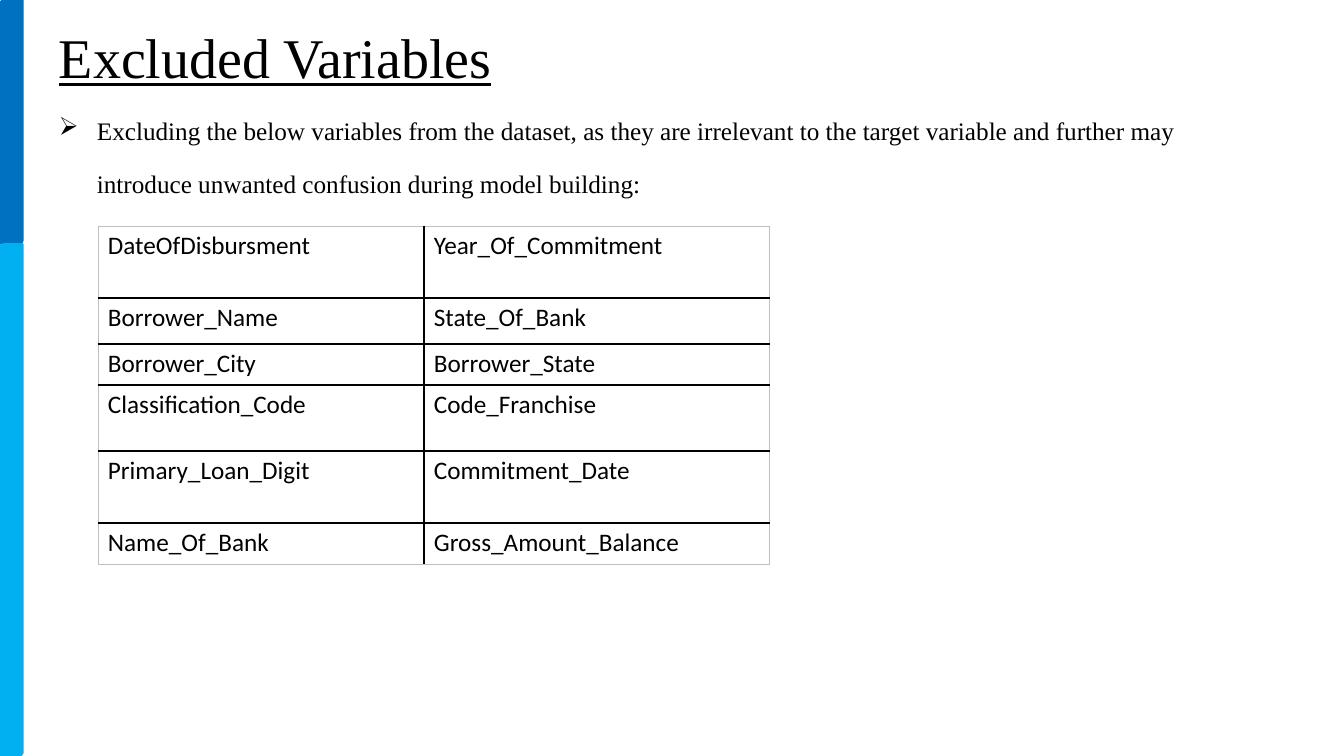
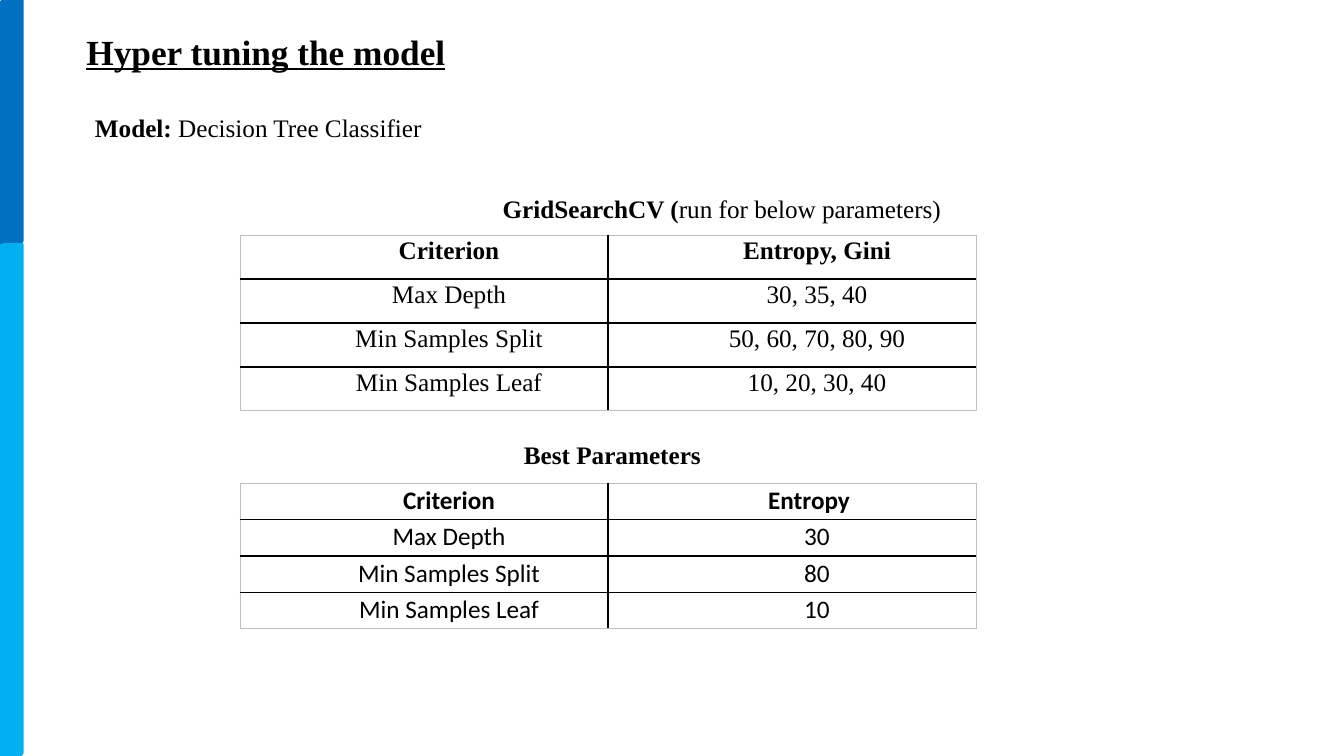
from dataclasses import dataclass

from lxml import etree
from pptx import Presentation
from pptx import util as u
from pptx.dml.color import RGBColor
from pptx.enum import shapes, text
from pptx.oxml import ns

EMU_PER_PX = 12192000 / 1344
LEFT, CENTER = text.PP_ALIGN.LEFT, text.PP_ALIGN.CENTER


@dataclass(frozen=True)
class Theme:
    band_dark: str = "0070C0"
    band_light: str = "00B0F0"
    ink: str = "000000"
    frame: str = "BFBFBF"
    serif: str = "Times New Roman"
    sans: str = "Calibri"
    title_size: float = 40
    subtitle_size: float = 25.2
    body_size: float = 18
    rule_width: float = 1
    frame_width: float = 0.75


@dataclass(frozen=True)
class Box:
    left: int
    top: int
    width: int
    height: int

    def emu(self):
        return px(self.left), px(self.top), px(self.width), px(self.height)


THEME = Theme()


def px(length):
    return u.Emu(round(length * EMU_PER_PX))


def color(value):
    return RGBColor.from_string(value)


def write(paragraph, runs, size=THEME.body_size, font=THEME.serif,
          align=LEFT, spacing=1.0, underline=False):
    """Fill a paragraph with (words, bold) runs."""
    paragraph.alignment = align
    paragraph.line_spacing = spacing
    paragraph.font.size = u.Pt(size)
    paragraph.font.name = font
    paragraph.font.underline = underline
    paragraph.font.color.rgb = color(THEME.ink)
    for words, bold in runs:
        run = paragraph.add_run()
        run.text = words
        run.font.bold = bold


def indent(paragraph, margin, first_line=0, bullet=None):
    properties = paragraph._p.get_or_add_pPr()
    properties.set("marL", str(px(margin)))
    properties.set("indent", str(px(first_line)))
    if bullet:
        mark = etree.Element(ns.qn("a:buChar"), char=bullet)
        properties.insert_element_before(mark, "a:tabLst", "a:defRPr", "a:extLst")


def add_text(slide, box, runs, anchor=text.MSO_ANCHOR.TOP, **style):
    frame = slide.shapes.add_textbox(*box.emu()).text_frame
    frame.word_wrap = True
    frame.vertical_anchor = anchor
    paragraph = frame.paragraphs[0]
    write(paragraph, runs, **style)
    return paragraph


def add_title(slide, box, words, bold=False, **style):
    add_text(slide, box, [(words, bold)], anchor=text.MSO_ANCHOR.MIDDLE,
             underline=True, **style)


def add_side_bands(slide, box, split):
    """Stack a dark and a light band that meet at the height split."""
    bands = ((box.top, split, THEME.band_dark),
             (box.top + split, box.height - split, THEME.band_light))
    for top, height, fill in bands:
        band = slide.shapes.add_shape(
            shapes.MSO_SHAPE.ROUND_2_DIAG_RECTANGLE,
            *Box(box.left, top, box.width, height).emu())
        band.shadow.inherit = False
        band.fill.solid()
        band.fill.fore_color.rgb = color(fill)
        band.line.color.rgb = color(fill)
        band.line.width = u.Pt(THEME.rule_width)


def set_borders(cell, outer_sides):
    """Rule the cell in ink, and in the frame colour on its outer sides."""
    properties = cell._tc.get_or_add_tcPr()
    for position, side in enumerate("LRTB"):
        outer = side in outer_sides
        width = THEME.frame_width if outer else THEME.rule_width
        line = etree.Element(ns.qn(f"a:ln{side}"), w=str(u.Pt(width)))
        fill = etree.SubElement(line, ns.qn("a:solidFill"))
        etree.SubElement(fill, ns.qn("a:srgbClr"),
                         val=THEME.frame if outer else THEME.ink)
        properties.insert(position, line)


def add_table(slide, box, rows, widths, heights, header=False, margin=0,
              insets=(10, 5), **style):
    """Place a table whose widths and heights are shares of the box."""
    table = slide.shapes.add_table(len(rows), len(widths), *box.emu()).table
    table.first_row = table.horz_banding = False
    for column, share in zip(table.columns, widths):
        column.width = px(box.width * share / sum(widths))
    for row, share in zip(table.rows, heights):
        row.height = px(box.height * share / sum(heights))
    last_row, last_column = len(rows) - 1, len(widths) - 1
    for row_index, row in enumerate(rows):
        for column_index, words in enumerate(row):
            cell = table.cell(row_index, column_index)
            cell.fill.background()
            cell.margin_left = cell.margin_right = px(insets[0])
            cell.margin_top = cell.margin_bottom = px(insets[1])
            edges = {"L": column_index == 0, "R": column_index == last_column,
                     "T": row_index == 0, "B": row_index == last_row}
            set_borders(cell, [side for side, outer in edges.items() if outer])
            paragraph = cell.text_frame.paragraphs[0]
            write(paragraph, [(words, header and row_index == 0)], **style)
            indent(paragraph, margin)
    return table


def add_parameter_table(slide, box, rows, font):
    return add_table(slide, box, rows, widths=(1, 1), heights=[1] * len(rows),
                     header=True, margin=50, insets=(7, 0), font=font,
                     align=CENTER, spacing=1.07)


def build_excluded_variables(slide):
    add_title(slide, Box(49, 0, 907, 112), "Excluded Variables",
              size=THEME.title_size)
    reason = add_text(
        slide, Box(49, 87, 1165, 125),
        [("Excluding the below variables from the dataset, as they are "
          "irrelevant to the target variable and further may introduce "
          "unwanted confusion during model building:", False)],
        spacing=1.76)
    indent(reason, 38, -38, "➢")
    variables = [
        ("DateOfDisbursment", "Year_Of_Commitment"),
        ("Borrower_Name", "State_Of_Bank"),
        ("Borrower_City", "Borrower_State"),
        ("Classification_Code", "Code_Franchise"),
        ("Primary_Loan_Digit", "Commitment_Date"),
        ("Name_Of_Bank", "Gross_Amount_Balance"),
    ]
    add_table(slide, Box(98, 226, 672, 338), variables, widths=(326, 346),
              heights=(72, 46, 41, 66, 72, 41), font=THEME.sans)


def build_hyper_tuning(slide):
    add_title(slide, Box(35, 26, 462, 50), "Hyper tuning the model", bold=True,
              size=THEME.subtitle_size, align=CENTER)
    model = add_text(slide, Box(35, 105, 857, 41),
                     [("Model: ", True), ("Decision Tree Classifier", False)],
                     spacing=1.07)
    indent(model, 50)
    add_text(slide, Box(456, 186, 532, 41),
             [("GridSearchCV (", True), ("run for below parameters)", False)],
             align=CENTER, spacing=1.07)
    names = ("Criterion", "Max Depth", "Min Samples Split", "Min Samples Leaf")
    searched = ("Entropy, Gini", "30, 35, 40", "50, 60, 70, 80, 90",
                "10, 20, 30, 40")
    best = ("Entropy", "30", "80", "10")
    add_parameter_table(slide, Box(240, 235, 736, 176),
                        list(zip(names, searched)), THEME.serif)
    add_text(slide, Box(514, 434, 223, 41), [("Best Parameters", True)])
    best_table = add_parameter_table(slide, Box(240, 483, 736, 146),
                                     list(zip(names, best)), THEME.sans)
    best_table.cell(0, 1).margin_right = px(23)


def main():
    presentation = Presentation()
    presentation.slide_width, presentation.slide_height = px(1344), px(756)
    blank = presentation.slide_layouts[6]
    for build in (build_excluded_variables, build_hyper_tuning):
        slide = presentation.slides.add_slide(blank)
        add_side_bands(slide, Box(0, 0, 23, 756), split=244)
        build(slide)
    presentation.save("out.pptx")


if __name__ == "__main__":
    main()
